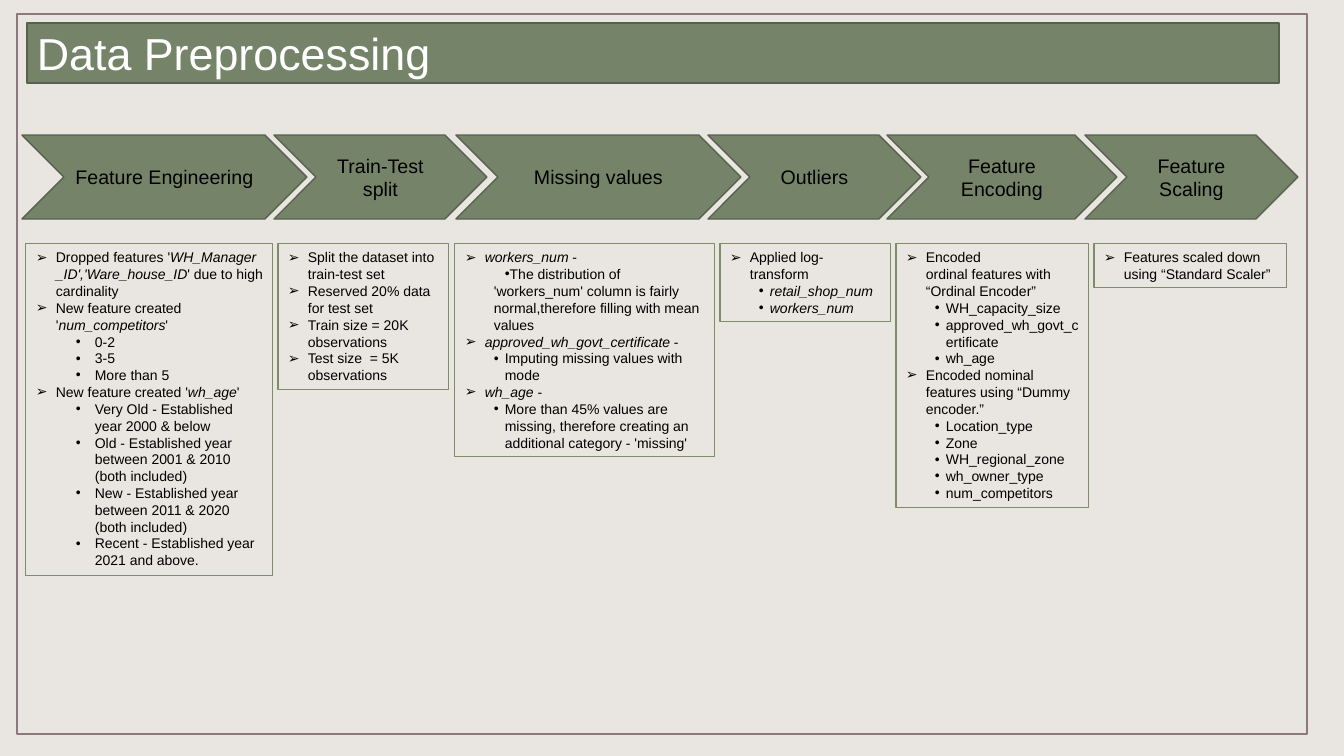
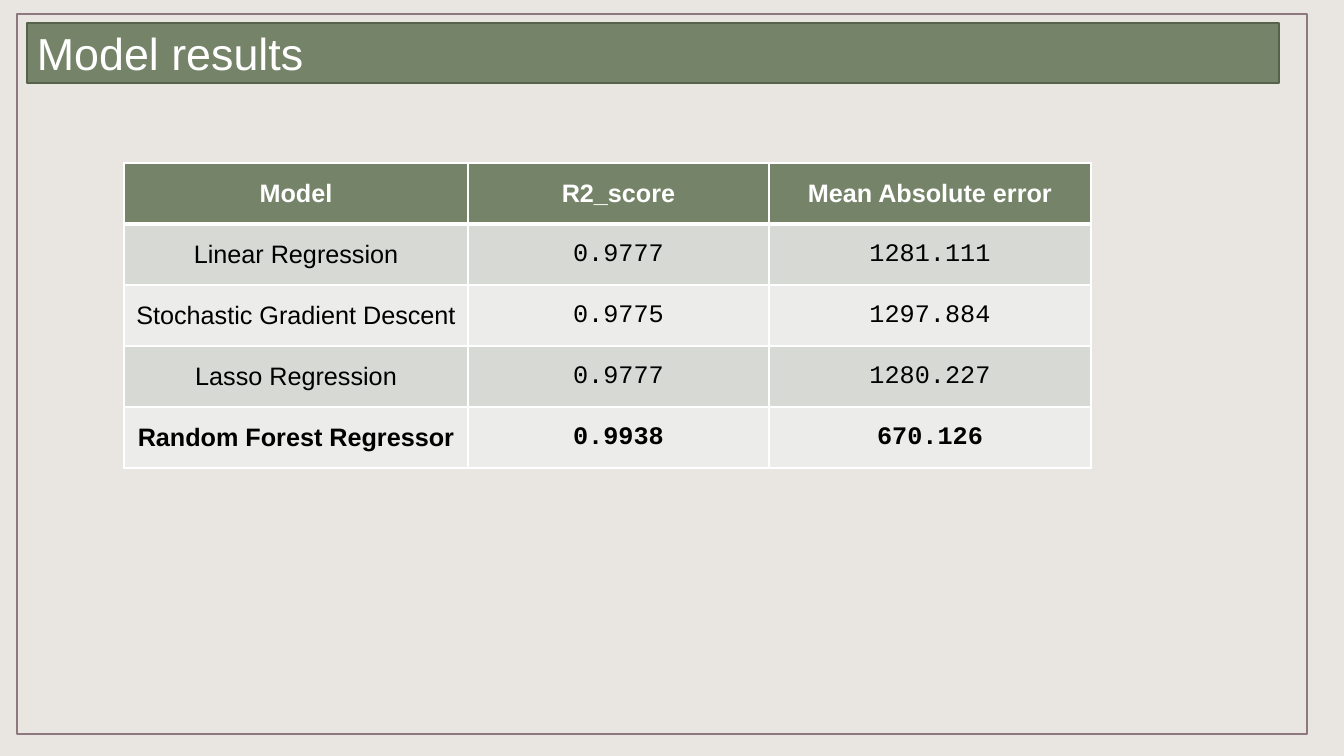
from lxml.etree import SubElement
from pptx import Presentation
from pptx.dml.color import RGBColor
from pptx.enum.shapes import MSO_SHAPE
from pptx.enum.text import MSO_ANCHOR, MSO_AUTO_SIZE, PP_ALIGN
from pptx.oxml.ns import qn
from pptx.util import Emu, Pt

PX = 914400 / 100.8  # EMU in one px
NBSP = chr(160)  # written as ~ in the texts below

COLORS = {
    "page": "E9E5E1", "green": "758468", "green_edge": "57624D",
    "frame": "8D787F", "panel": "7D8E67", "white": "FFFFFF",
    "black": "000000", "band_dark": "D6D9D4", "band_light": "ECEDEB",
}
RGB = {name: RGBColor.from_string(value) for name, value in COLORS.items()}

TITLE = {"name": "Arial", "size": Pt(32), "color": "white"}
STEP = {"name": "Arial", "size": Pt(14), "color": "black"}
BODY = {"name": "Arial", "size": Pt(10), "color": "black"}
CELL = {"name": "Arial", "size": Pt(18), "color": "black"}


def add_box(s, kind, rect, fill, line, width=1):
    sp = s.shapes.add_shape(kind, *(Emu(round(v * PX)) for v in rect))
    sp.shadow.inherit = False
    if fill:
        sp.fill.solid()
        sp.fill.fore_color.rgb = RGB[fill]
    else:
        sp.fill.background()
    sp.line.color.rgb = RGB[line]
    sp.line.width = Pt(width)
    sp.text_frame.word_wrap = True
    return sp


def add_text(p, text, fmt, align=PP_ALIGN.LEFT):
    """Fill a paragraph; text between asterisks is italic."""
    p.alignment = align
    for i, part in enumerate(text.replace("~", NBSP).split("*")):
        if part:
            r = p.add_run()
            r.text = part
            r.font.italic = i % 2 == 1
            for key, value in fmt.items():
                if key == "color":
                    r.font.color.rgb = RGB[value]
                else:
                    setattr(r.font, key, value)


prs = Presentation()
prs.slide_width, prs.slide_height = Emu(round(1344 * PX)), Emu(round(756 * PX))

# Shared page: background, title band, frame
slides = []
for title in ("Data Preprocessing", "Model results"):
    s = prs.slides.add_slide(prs.slide_layouts[6])
    s.background.fill.solid()
    s.background.fill.fore_color.rgb = RGB["page"]
    band = add_box(s, MSO_SHAPE.RECTANGLE, (27, 23, 1252, 60), "green", "green_edge")
    add_text(band.text_frame.paragraphs[0], title, TITLE)
    add_box(s, MSO_SHAPE.RECTANGLE, (17, 14, 1290, 720), None, "frame")
    slides.append(s)
prep, results = slides

# Process steps
STEPS = [
    ("Feature Engineering", 22, 285),
    ("Train-Test split", 274, 213),
    ("Missing values", 456, 285),
    ("Outliers", 708, 213),
    ("Feature Encoding", 887, 230),
    ("Feature Scaling", 1085, 213),
]
for name, x, w in STEPS:
    sp = add_box(prep, MSO_SHAPE.CHEVRON, (x, 135, w, 84), "green", "green_edge")
    tf = sp.text_frame
    tf.margin_left = tf.margin_right = Emu(round(5 * PX))
    add_text(tf.paragraphs[0], name, STEP, PP_ALIGN.CENTER)

# Detail panels: bullet style -> (level, left margin, first-line indent, mark)
BULLETS = {
    "main": (0, 20, -20, "➢"),
    "wide": (1, 59, -19, "•"),
    "sub": (1, 40, -11, "•"),
    "run-in": (1, 29, 11, "•"),
}
PANELS = [
    (26, 247, 332, [
        ("main", "Dropped~features~'*WH_Manager_ID','Ware_house_ID*' due to high cardinality"),
        ("main", "New feature created '*num_competitors*'~"),
        ("wide", "0-2"),
        ("wide", "3-5"),
        ("wide", "More than 5"),
        ("main", "New feature created '*wh_age*'"),
        ("wide", "Very Old~- Established year 2000 & below"),
        ("wide", "Old~- Established year between 2001 & 2010 (both included)"),
        ("wide", "New~- Established year between 2011 & 2020 (both included)"),
        ("wide", "Recent~- Established year 2021 and above."),
    ]),
    (278, 171, 146, [
        ("main", "Split the dataset into train-test set"),
        ("main", "Reserved 20% data for test set"),
        ("main", "Train size = 20K observations"),
        ("main", "Test size~ = 5K observations"),
    ]),
    (455, 260, 213, [
        ("main", "*workers_num* -~"),
        ("run-in", "The distribution of 'workers_num' column is fairly "
                   "normal,therefore filling with mean values"),
        ("main", "*approved_wh_govt_certificate* -~"),
        ("sub", "Imputing missing values with mode"),
        ("main", "*wh_age* -~"),
        ("sub", "More than 45% values are missing, therefore creating "
                "an additional category - 'missing'"),
    ]),
    (720, 171, 78, [
        ("main", "Applied log-transform"),
        ("sub", "*retail_shop_num*"),
        ("sub", "*workers_num*"),
    ]),
    (896, 193, 264, [
        ("main", "Encoded ordinal~features with “Ordinal~Encoder”"),
        ("sub", "WH_capacity_size"),
        ("sub", "approved_wh_govt_certificate"),
        ("sub", "wh_age"),
        ("main", "Encoded nominal features using “Dummy encoder.”"),
        ("sub", "Location_type"),
        ("sub", "Zone"),
        ("sub", "WH_regional_zone"),
        ("sub", "wh_owner_type"),
        ("sub", "num_competitors"),
    ]),
    (1094, 193, 44, [
        ("main", "Features scaled down using “Standard Scaler”"),
    ]),
]
for x, w, h, items in PANELS:
    sp = add_box(prep, MSO_SHAPE.RECTANGLE, (x, 244, w, h), None, "panel", 0.75)
    tf = sp.text_frame
    tf.vertical_anchor = MSO_ANCHOR.TOP
    tf.auto_size = MSO_AUTO_SIZE.SHAPE_TO_FIT_TEXT
    for i, (style, text) in enumerate(items):
        p = tf.add_paragraph() if i else tf.paragraphs[0]
        add_text(p, text, BODY)
        level, left, indent, mark = BULLETS[style]
        p.level = level
        pPr = p._p.get_or_add_pPr()
        pPr.set("marL", str(round(left * PX)))
        pPr.set("indent", str(round(indent * PX)))
        SubElement(pPr, qn("a:buFont"), typeface="Arial")
        SubElement(pPr, qn("a:buChar"), char=mark)

# Results table
ROWS = [
    ("Model", "R2_score", "Mean Absolute error"),
    ("Linear Regression", "0.9777", "1281.111"),
    ("Stochastic Gradient Descent", "0.9775", "1297.884"),
    ("Lasso Regression", "0.9777", "1280.227"),
    ("Random Forest Regressor", "0.9938", "670.126"),
]
COL_WIDTHS = (344, 301, 322)
ROW_HEIGHT = 61
rect = (124, 163, sum(COL_WIDTHS), ROW_HEIGHT * len(ROWS))
table = results.shapes.add_table(
    len(ROWS), len(COL_WIDTHS), *(Emu(round(v * PX)) for v in rect)).table
for col, w in zip(table.columns, COL_WIDTHS):
    col.width = Emu(round(w * PX))
for i, row in enumerate(ROWS):
    table.rows[i].height = Emu(round(ROW_HEIGHT * PX))
    header = i == 0
    fill = "green" if header else ("band_dark" if i % 2 else "band_light")
    for j, text in enumerate(row):
        cell = table.cell(i, j)
        cell.vertical_anchor = MSO_ANCHOR.MIDDLE
        tcPr = cell._tc.get_or_add_tcPr()
        for side in ("lnL", "lnR", "lnT", "lnB"):
            heavy = (header and side == "lnB") or (i == 1 and side == "lnT")
            ln = SubElement(tcPr, qn("a:" + side), w=str(Pt(3 if heavy else 1)))
            SubElement(SubElement(ln, qn("a:solidFill")), qn("a:srgbClr"),
                       val=COLORS["white"])
        cell.fill.solid()
        cell.fill.fore_color.rgb = RGB[fill]
        fmt = CELL | {
            "name": "Courier New" if i and j else "Arial",
            "color": "white" if header else "black",
            "bold": i in (0, len(ROWS) - 1),
        }
        add_text(cell.text_frame.paragraphs[0], text, fmt, PP_ALIGN.CENTER)

prs.save("out.pptx")
